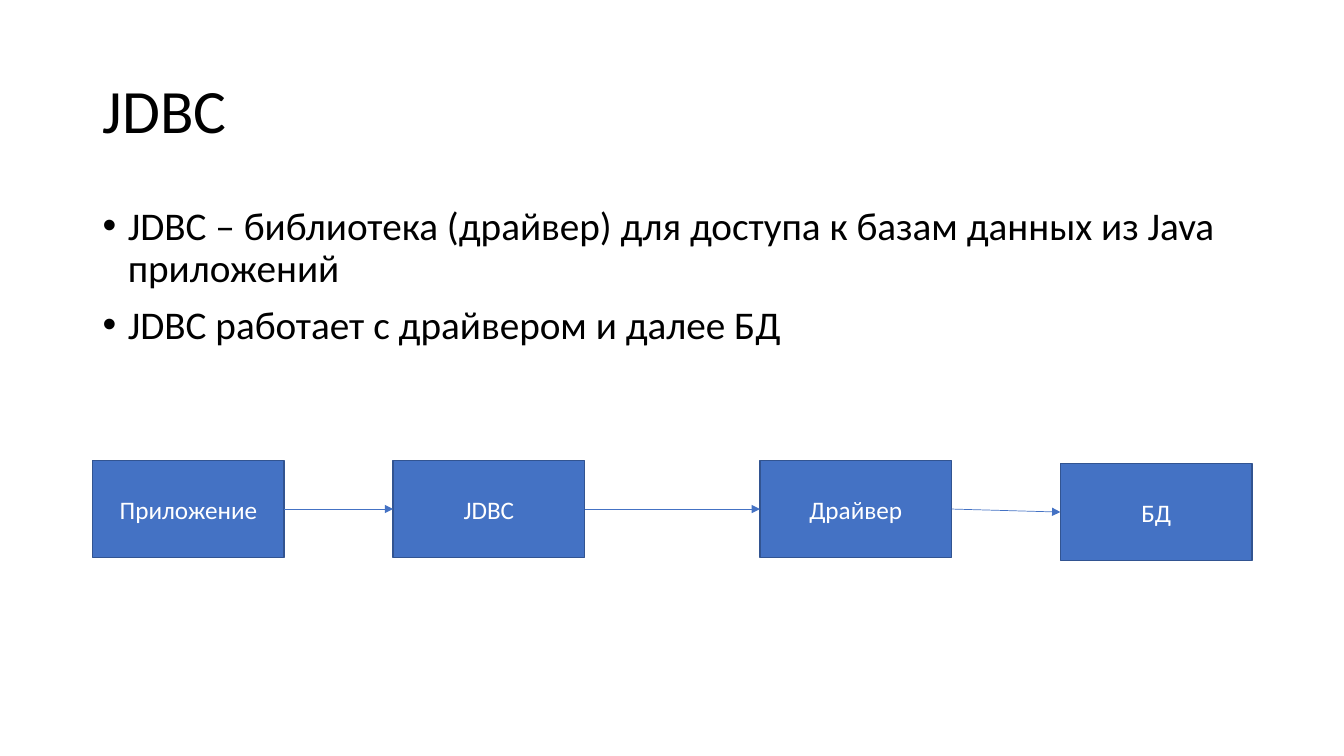
from dataclasses import dataclass

from lxml import etree
from pptx import Presentation
from pptx import util as u
from pptx.dml.color import RGBColor
from pptx.enum import shapes, text
from pptx.oxml import ns

PX = 9144


@dataclass(frozen=True)
class Theme:
    font: str = "Calibri"
    ink: str = "000000"
    fill: str = "4472C4"
    edge: str = "325491"
    light: str = "FFFFFF"
    title_size: int = 44
    body_size: int = 28
    label_size: int = 18
    edge_width: float = 1
    arrow_width: float = 0.5


THEME = Theme()


def px(*lengths):
    return [u.Emu(length * PX) for length in lengths]


def color(code):
    return RGBColor.from_string(code)


def add_span(para, words, size, ink):
    span = para.add_run()
    span.text = words
    span.font.name = THEME.font
    span.font.size = u.Pt(size)
    span.font.color.rgb = color(ink)


def add_text_box(page, place, anchor):
    frame = page.shapes.add_textbox(*px(*place)).text_frame
    frame.word_wrap = True
    frame.vertical_anchor = anchor
    return frame


def add_title(page, place, words):
    para = add_text_box(page, place, text.MSO_ANCHOR.MIDDLE).paragraphs[0]
    para.line_spacing = 0.9
    add_span(para, words, THEME.title_size, THEME.ink)


def set_bullet(para, indent):
    props = para._p.get_or_add_pPr()
    props.set("marL", str(indent * PX))
    props.set("indent", str(-indent * PX))
    etree.SubElement(props, ns.qn("a:buFont"), typeface="Arial")
    etree.SubElement(props, ns.qn("a:buChar"), char="•")


def add_bullets(page, place, lines):
    frame = add_text_box(page, place, text.MSO_ANCHOR.TOP)
    for index, words in enumerate(lines):
        para = frame.add_paragraph() if index else frame.paragraphs[0]
        para.line_spacing = 0.9
        para.space_before = u.Pt(10)
        set_bullet(para, 25)
        add_span(para, words, THEME.body_size, THEME.ink)


def add_box(page, place, label):
    box = page.shapes.add_shape(shapes.MSO_SHAPE.RECTANGLE, *px(*place))
    box.shadow.inherit = False
    box.fill.solid()
    box.fill.fore_color.rgb = color(THEME.fill)
    box.line.color.rgb = color(THEME.edge)
    box.line.width = u.Pt(THEME.edge_width)
    box.text_frame.word_wrap = True
    box.text_frame.vertical_anchor = text.MSO_ANCHOR.MIDDLE
    para = box.text_frame.paragraphs[0]
    para.alignment = text.PP_ALIGN.CENTER
    add_span(para, label, THEME.label_size, THEME.light)
    return box


def add_arrow(page, source, target):
    arrow = page.shapes.add_connector(shapes.MSO_CONNECTOR.STRAIGHT, 0, 0, 0, 0)
    arrow.begin_connect(source, 3)
    arrow.end_connect(target, 1)
    arrow.line.color.rgb = color(THEME.fill)
    arrow.line.width = u.Pt(THEME.arrow_width)
    etree.SubElement(arrow.line._get_or_add_ln(), ns.qn("a:tailEnd"), type="triangle")
    etree.SubElement(arrow._element.spPr, ns.qn("a:effectLst"))


def main():
    deck = Presentation()
    deck.slide_width, deck.slide_height = u.Inches(13.333), u.Inches(7.5)
    page = deck.slides.add_slide(deck.slide_layouts[6])

    add_title(page, (92, 40, 1150, 145), "JDBC")
    add_bullets(page, (92, 200, 1150, 476), [
        "JDBC – библиотека (драйвер) для доступа к базам данных из Java приложений",
        "JDBC работает с драйвером и далее БД",
    ])

    stages = [
        ("Приложение", 92, 457),
        ("JDBC", 390, 457),
        ("Драйвер", 754, 457),
        ("БД", 1052, 460),
    ]
    boxes = [add_box(page, (left, top, 190, 96), label) for label, left, top in stages]
    for source, target in zip(boxes, boxes[1:]):
        add_arrow(page, source, target)

    deck.save("out.pptx")


if __name__ == "__main__":
    main()
